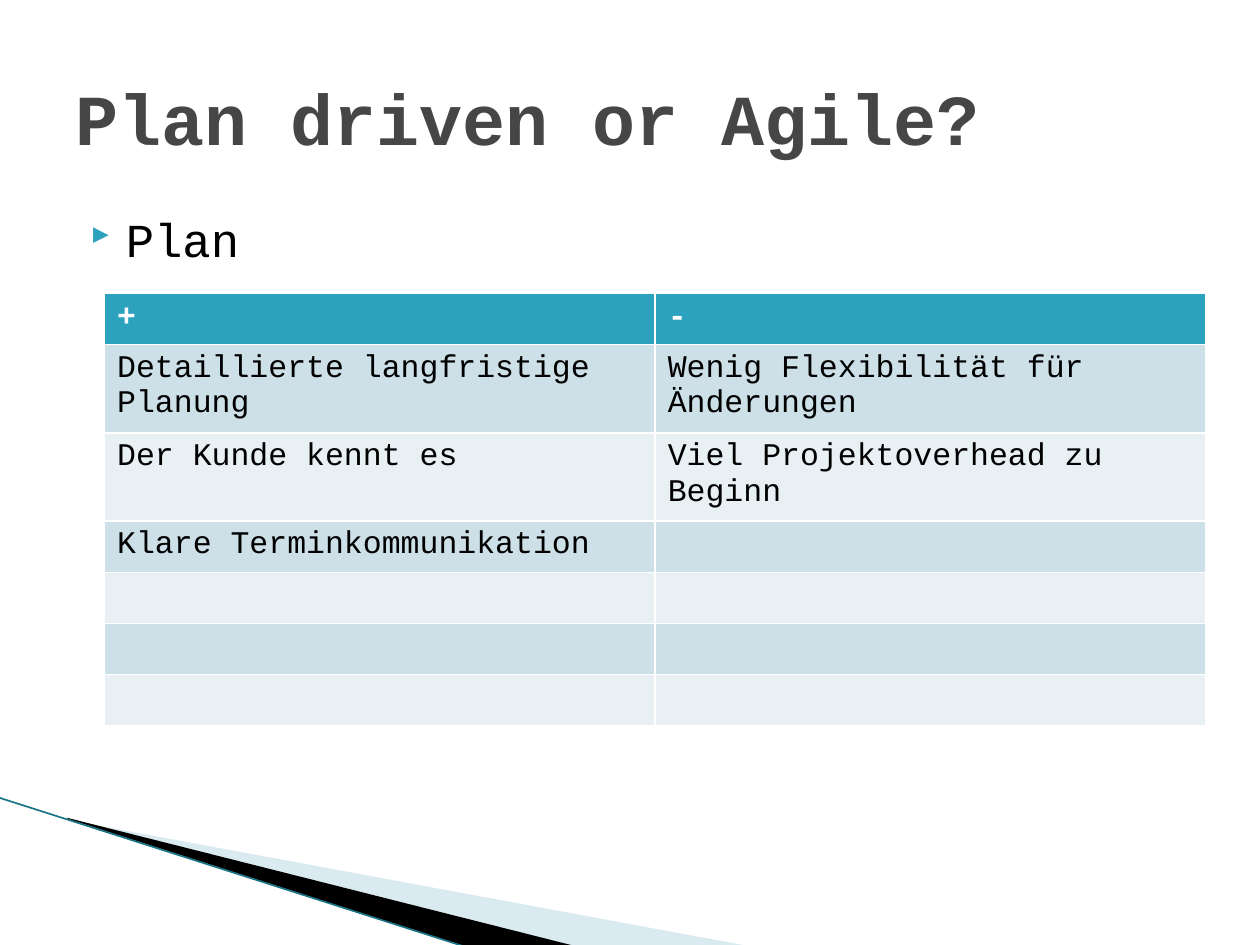
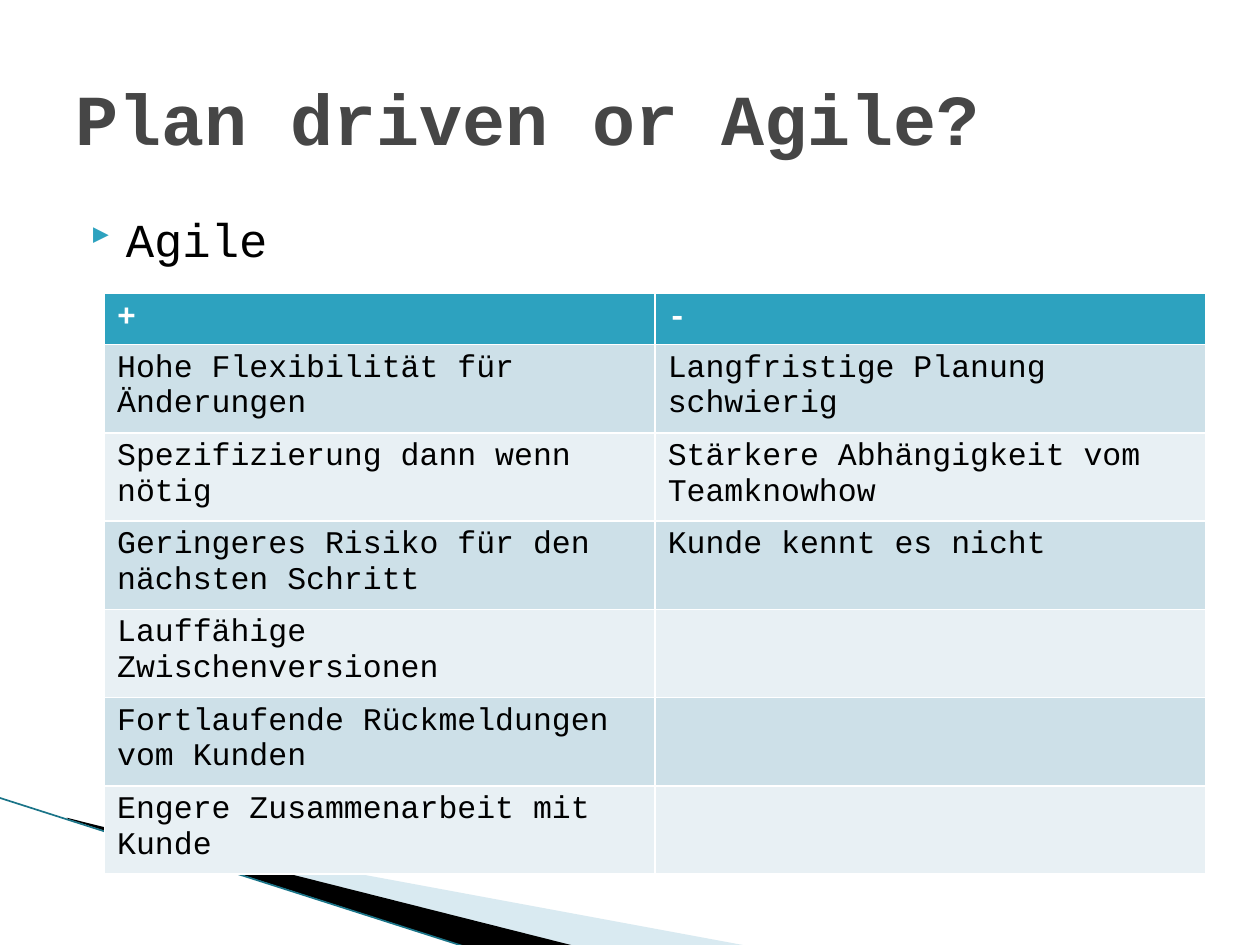
from pptx import Presentation
from pptx import util as u
from pptx.dml.color import RGBColor
from pptx.enum import shapes, text
from pptx.oxml.ns import qn
from lxml import etree

TITLE = "Plan driven or Agile?"
HEADER = ("+", "-")
SLIDES = [
    ("Plan", [
        ("Detaillierte langfristige Planung", "Wenig Flexibilität für Änderungen"),
        ("Der Kunde kennt es", "Viel Projektoverhead zu Beginn"),
        ("Klare Terminkommunikation", ""),
        ("", ""),
        ("", ""),
        ("", ""),
    ]),
    ("Agile", [
        ("Hohe Flexibilität für Änderungen", "Langfristige Planung schwierig"),
        ("Spezifizierung dann wenn nötig", "Stärkere Abhängigkeit vom Teamknowhow"),
        ("Geringeres Risiko für den nächsten Schritt", "Kunde kennt es nicht"),
        ("Lauffähige Zwischenversionen", ""),
        ("Fortlaufende Rückmeldungen vom Kunden", ""),
        ("Engere Zusammenarbeit mit Kunde", ""),
    ]),
]

FONT = "Courier New"
BULLET_FONT, BULLET = "Wingdings 3", "}"  # a right-pointing triangle in this font
COLORS = {
    "title": "464646", "text": "000000", "accent": "2DA2BF", "white": "FFFFFF",
    "band_dark": "CDE0E8", "band_light": "E8F0F4",
    "wedge_light": "A0CBDC", "wedge_dark": "000000", "edge": "1A7488",
}
WIDTH, HEIGHT = 10, 7.5
MARGIN = 0.5
TABLE_LEFT, TABLE_TOP = 0.83, 2.33
TABLE_WIDTH, TABLE_HEIGHT = 8.74, 2.84
# Corner points in hundredths of an inch
WEDGES = [
    ("wedge_light", 40, [(55, 651), (595, 751), (456, 751), (55, 650)]),
    ("wedge_dark", 100, [(53, 649), (457, 751), (372, 752), (54, 650)]),
]
EDGE = [(-1, 633), (371, 752)]
HUNDREDTH = u.Inches(0.01)


def rgb(name):
    return RGBColor.from_string(COLORS[name])


def add_xml(parent, tag, **attrs):
    return etree.SubElement(parent, qn(tag), {k: str(v) for k, v in attrs.items()})


def add_run(p, content, size, color, bold=False):
    r = p.add_run()
    r.text = content
    r.font.name, r.font.size, r.font.bold = FONT, u.Pt(size), bold
    r.font.color.rgb = rgb(color)


def place(sp, left, top, width, height):
    sp.left, sp.top, sp.width, sp.height = map(u.Inches, (left, top, width, height))


def add_corner(slide):
    """Draw the corner wedges and move them to the layout, so all slides share them."""
    parts = []
    for color, alpha, points in WEDGES:
        builder = slide.shapes.build_freeform(*points[0], scale=HUNDREDTH)
        builder.add_line_segments(points[1:], close=True)
        sp = builder.convert_to_shape()
        sp.shadow.inherit = False
        sp.fill.solid()
        sp.fill.fore_color.rgb = rgb(color)
        sp.line.fill.background()
        if alpha < 100:
            fill_color = next(sp.element.spPr.iter(qn("a:srgbClr")))
            add_xml(fill_color, "a:alpha", val=alpha * 1000)
        parts.append(sp)
    ends = [v * HUNDREDTH for point in EDGE for v in point]
    edge = slide.shapes.add_connector(shapes.MSO_CONNECTOR.STRAIGHT, *ends)
    edge.line.color.rgb = rgb("edge")
    edge.line.width = u.Pt(0.95)
    add_xml(edge.element.spPr, "a:effectLst")
    for sp in parts + [edge]:
        slide.slide_layout.shapes.element.append(sp.element)


def add_title(slide):
    sp = slide.shapes.title
    place(sp, MARGIN, 0.3, WIDTH - 2 * MARGIN, 1.25)
    tf = sp.text_frame
    tf.vertical_anchor = text.MSO_ANCHOR.MIDDLE
    p = tf.paragraphs[0]
    p.alignment = text.PP_ALIGN.LEFT
    add_run(p, TITLE, 41, "title", bold=True)


def add_bullet(slide, content):
    sp = slide.shapes.add_textbox(0, 0, 0, 0)
    place(sp, MARGIN, 1.62, WIDTH - 2 * MARGIN, 4.95)
    sp.text_frame.word_wrap = True
    p = sp.text_frame.paragraphs[0]
    p.space_before = u.Pt(4)
    pPr = p._p.get_or_add_pPr()
    pPr.set("marL", str(u.Inches(0.4)))
    pPr.set("indent", str(u.Inches(-0.28)))
    add_xml(add_xml(pPr, "a:buClr"), "a:srgbClr", val=COLORS["accent"])
    add_xml(pPr, "a:buSzPct", val=68000)
    add_xml(pPr, "a:buFont", typeface=BULLET_FONT, charset=2)
    add_xml(pPr, "a:buChar", char=BULLET)
    add_run(p, content, 27, "text")


def add_pro_con_table(slide, rows):
    """Fill the table; its default style supplies the white cell borders."""
    rows = [HEADER] + rows
    box = (TABLE_LEFT, TABLE_TOP, TABLE_WIDTH, TABLE_HEIGHT)
    table = slide.shapes.add_table(len(rows), len(HEADER), *map(u.Inches, box)).table
    for i, row in enumerate(rows):
        header = i == 0
        band = "accent" if header else "band_dark" if i % 2 else "band_light"
        for j, content in enumerate(row):
            cell = table.cell(i, j)
            cell.fill.solid()
            cell.fill.fore_color.rgb = rgb(band)
            if content:
                add_run(cell.text_frame.paragraphs[0], content, 18,
                        "white" if header else "text", bold=header)


def main():
    prs = Presentation()
    prs.slide_width, prs.slide_height = u.Inches(WIDTH), u.Inches(HEIGHT)
    layout = prs.slide_layouts.get_by_name("Title Only")
    for n, (approach, rows) in enumerate(SLIDES):
        slide = prs.slides.add_slide(layout)
        if n == 0:
            add_corner(slide)
        add_bullet(slide, approach)
        add_title(slide)
        add_pro_con_table(slide, rows)
    prs.save("out.pptx")


if __name__ == "__main__":
    main()
